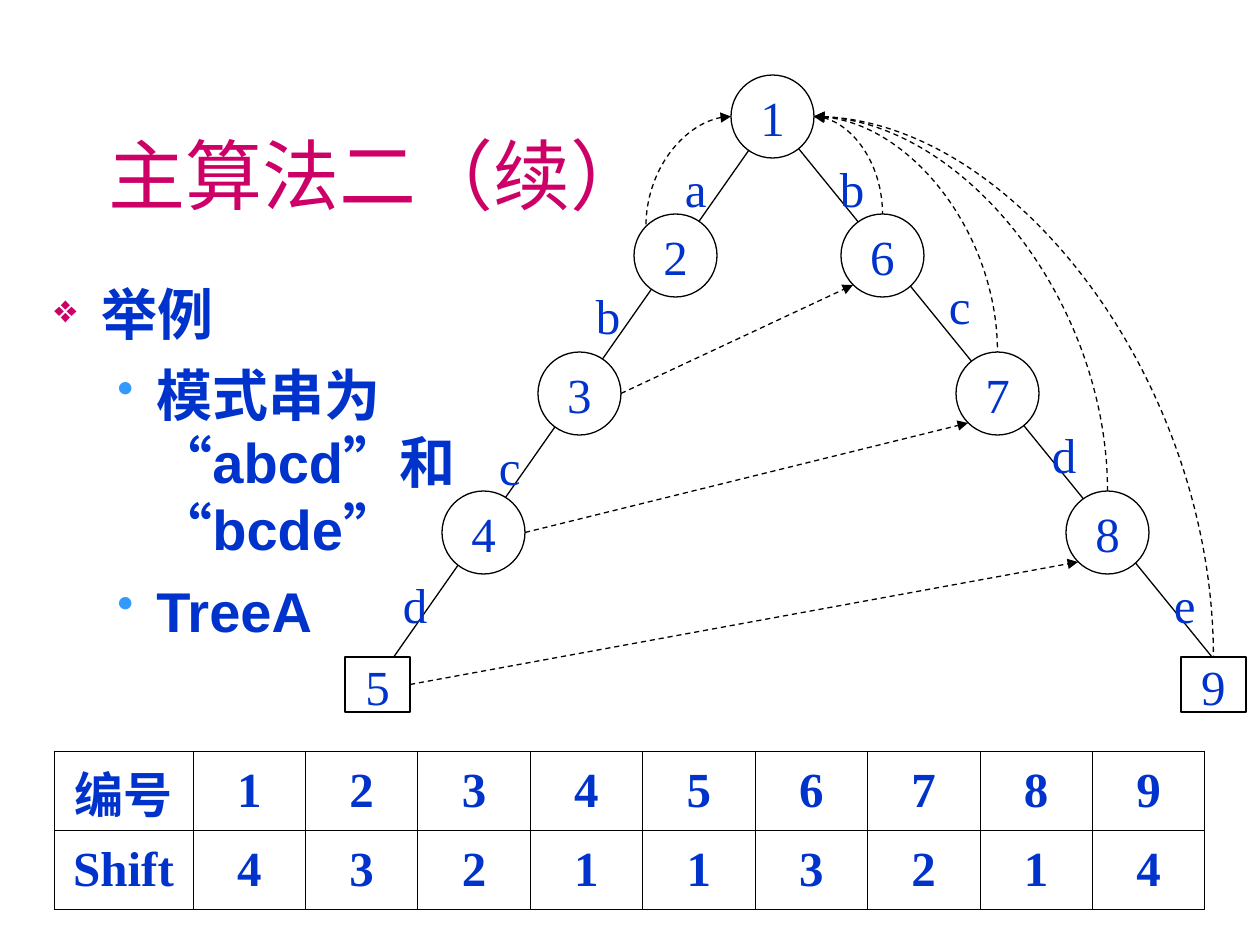
from lxml.etree import SubElement
from pptx import Presentation
from pptx.dml.color import RGBColor
from pptx.enum.dml import MSO_LINE_DASH_STYLE as Dash
from pptx.enum.shapes import MSO_CONNECTOR as Link, MSO_SHAPE as Shape
from pptx.enum.text import MSO_ANCHOR as Anchor, PP_ALIGN as Align
from pptx.oxml import parse_xml
from pptx.oxml.ns import nsdecls, qn
from pptx.util import Emu, Pt

COLORS = {"title": "CC0066", "text": "0033CC", "dot": "3399FF", "line": "000000", "node": "FFFFFF"}
CIRCLE = 83
LEAF = (65, 55)
LABEL = (39, 67)
CORNER = 12  # inset of a circle's diagonal points from its bounding box

CIRCLES = {
    "1": (386, 0), "2": (289, 139), "3": (193, 277), "4": (97, 416),
    "6": (496, 139), "7": (611, 277), "8": (721, 416),
}
LEAVES = {"5": (0, 582), "9": (836, 582)}
EDGE_LABELS = [
    ("a", 340, 84), ("b", 251, 211), ("c", 154, 361), ("d", 58, 500),
    ("b", 495, 84), ("c", 604, 200), ("d", 707, 350), ("e", 829, 500),
]
SHIFTS = [4, 3, 2, 1, 1, 3, 2, 1, 4]


def px(length):
    return Emu(round(length * 914400 / 126))


def color(name):
    return RGBColor.from_string(COLORS[name])


def style(para, size, face, tint="text", bold=False, align=None):
    para.font.size = Pt(size)
    para.font.name = face
    para.font.bold = bold
    para.font.color.rgb = color(tint)
    para.alignment = align


def add_text(page, box):
    frame = page.shapes.add_textbox(*map(px, box)).text_frame
    frame.word_wrap = True
    return frame


def clear_margins(frame):
    frame.margin_left = frame.margin_right = frame.margin_top = frame.margin_bottom = 0


def add_title(page, box):
    frame = add_text(page, box)
    frame.vertical_anchor = Anchor.MIDDLE
    para = frame.paragraphs[0]
    para.text = "主算法二（续）"
    style(para, 44, "Arial", "title", align=Align.CENTER)


def add_bullet(para, mark, tint, percent, left, hanging):
    """Put a coloured bullet and a hanging indent on a paragraph whose font is set."""
    properties = para._p.get_or_add_pPr()
    properties.set("marL", str(px(left)))
    properties.set("indent", str(-px(hanging)))
    font = properties.find(qn("a:defRPr"))
    for xml in (
        f'<a:buClr {nsdecls("a")}><a:srgbClr val="{COLORS[tint]}"/></a:buClr>',
        f'<a:buSzPct {nsdecls("a")} val="{percent * 1000}"/>',
        f'<a:buChar {nsdecls("a")} char="{mark}"/>',
    ):
        font.addprevious(parse_xml(xml))


def add_body(page, box):
    frame = add_text(page, box)
    top = ("❖", "title", 70, 47, 47)
    sub = ("•", "dot", 85, 102, 39)
    items = [("举例", 0, top), ("模式串为\v“abcd”和\v“bcde”", 1, sub), ("TreeA", 1, sub)]
    for index, (words, level, bullet) in enumerate(items):
        para = frame.add_paragraph() if index else frame.paragraphs[0]
        para.text = words
        para.level = level
        para.space_before = Pt(8)
        style(para, 32, "Arial", bold=True)
        add_bullet(para, *bullet)


def add_node(page, kind, box, number):
    node = page.shapes.add_shape(kind, *map(px, box))
    node.shadow.inherit = False
    node.fill.solid()
    node.fill.fore_color.rgb = color("node")
    node.line.color.rgb = color("line")
    node.line.width = Pt(0.75)
    frame = node.text_frame
    clear_margins(frame)
    frame.vertical_anchor = Anchor.TOP
    para = frame.paragraphs[0]
    para.text = number
    style(para, 28, "Times New Roman", align=Align.CENTER)
    return node


def add_link(page, start, end, arrow=None, curved=False):
    """Draw a link; arrow names the end ("headEnd" or "tailEnd") and makes it dashed."""
    kind = Link.CURVE if curved else Link.STRAIGHT
    link = page.shapes.add_connector(kind, *map(px, (*start, *end)))
    link.line.color.rgb = color("line")
    link.line.width = Pt(0.75)
    properties = link._element.spPr
    if curved:  # a quarter arc: leaves sideways, arrives upright
        properties.find(qn("a:prstGeom")).set("prst", "curvedConnector2")
    if arrow:
        link.line.dash_style = Dash.DASH
        SubElement(properties.find(qn("a:ln")), qn(f"a:{arrow}"), type="triangle")
    SubElement(properties, qn("a:effectLst"))
    return link


def add_tree(page, left, top):
    def at(x, y):
        return left + x, top + y

    def on(number, dx, dy):
        x, y = CIRCLES[number]
        return at(x + dx, y + dy)

    middle = CIRCLE / 2
    for foot in ((41, 593), (876, 593)):
        add_link(page, on("1", middle, middle), at(*foot))
    for letter, x, y in EDGE_LABELS:
        frame = add_text(page, (*at(x, y), *LABEL))
        clear_margins(frame)
        para = frame.paragraphs[0]
        para.text = letter
        style(para, 28, "Times New Roman", align=Align.JUSTIFY)
    for number, corner in CIRCLES.items():
        add_node(page, Shape.OVAL, (*at(*corner), CIRCLE, CIRCLE), number)
    leaves = {
        number: add_node(page, Shape.RECTANGLE, (*at(*corner), *LEAF), number)
        for number, corner in LEAVES.items()
    }

    # Failure links back to the root
    add_link(page, on("1", 0, middle), on("2", CORNER, CORNER), "headEnd", curved=True)
    leaf_x, leaf_y = LEAVES["9"]
    sources = [on(number, middle, 0) for number in "678"] + [at(leaf_x + LEAF[0] / 2, leaf_y)]
    for source in sources:
        add_link(page, on("1", CIRCLE, middle), source, "headEnd", curved=True)

    # Failure links across to the right branch
    for source, target in ("36", "47"):
        add_link(page, on(source, CIRCLE, middle), on(target, CORNER, CIRCLE - CORNER), "tailEnd")
    across = add_link(page, at(LEAF[0], LEAVES["5"][1]), on("8", CORNER, CIRCLE - CORNER), "tailEnd")
    across.begin_connect(leaves["5"], 3)


def add_borders(cell):
    properties = cell._tc.get_or_add_tcPr()
    for side in "LRTB":
        properties.append(parse_xml(
            f'<a:ln{side} {nsdecls("a")} w="5715"><a:solidFill>'
            f'<a:srgbClr val="{COLORS["line"]}"/></a:solidFill></a:ln{side}>'
        ))


def add_shift_table(page, left, top, width, height):
    rows = [["编号", *range(1, len(SHIFTS) + 1)], ["Shift", *SHIFTS]]
    columns = len(rows[0])
    box = map(px, (left, top, width, height))
    table = page.shapes.add_table(len(rows), columns, *box).table
    table.first_row = table.horz_banding = False
    head = 139
    for index, column in enumerate(table.columns):
        column.width = px((width - head) / (columns - 1) if index else head)
    for row, values in enumerate(rows):
        for column, value in enumerate(values):
            cell = table.cell(row, column)
            add_borders(cell)
            cell.fill.background()
            cell.vertical_anchor = Anchor.MIDDLE
            para = cell.text_frame.paragraphs[0]
            para.text = str(value)
            style(para, 28, "Times New Roman", bold=True, align=Align.CENTER)


def main():
    deck = Presentation()
    deck.slide_width, deck.slide_height = px(1260), px(945)
    page = deck.slides.add_slide(deck.slide_layouts[6])
    add_title(page, (34, 95, 688, 157))
    add_body(page, (42, 273, 578, 535))
    add_tree(page, 345, 75)
    add_shift_table(page, 54, 751, 1151, 158)
    deck.save("out.pptx")


if __name__ == "__main__":
    main()
